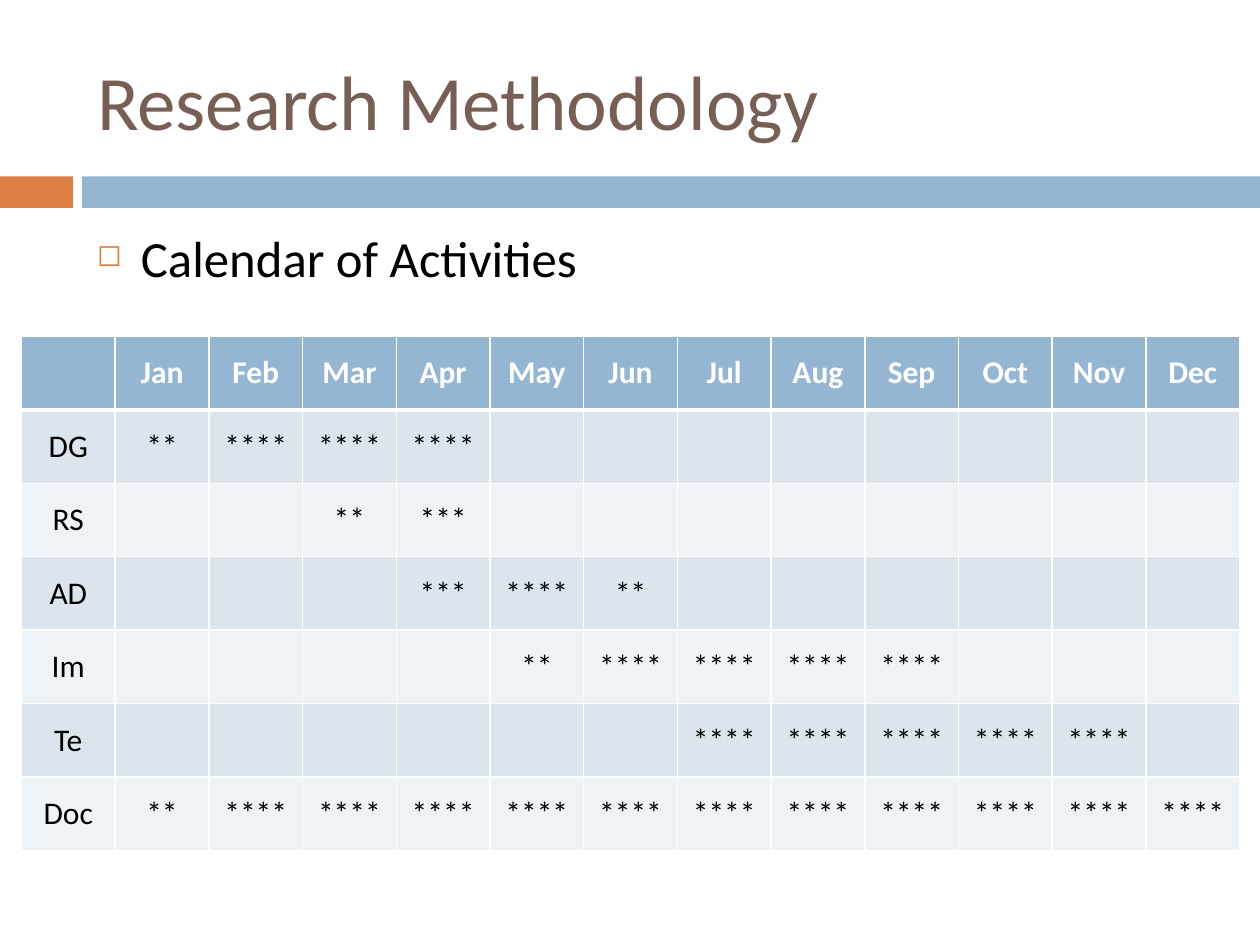
from dataclasses import dataclass

from lxml import etree
from pptx import Presentation
from pptx.dml.color import RGBColor
from pptx.enum.shapes import MSO_SHAPE
from pptx.enum.text import MSO_ANCHOR, PP_ALIGN
from pptx.oxml import parse_xml
from pptx.oxml.ns import nsdecls, qn
from pptx.util import Inches, Pt

RECTANGLE = MSO_SHAPE.RECTANGLE
MIDDLE, TOP = MSO_ANCHOR.MIDDLE, MSO_ANCHOR.TOP
LEFT, CENTER = PP_ALIGN.LEFT, PP_ALIGN.CENTER

ORANGE = RGBColor(0xDD, 0x80, 0x47)
BLUE = RGBColor(0x94, 0xB6, 0xD2)
BROWN = RGBColor(0x77, 0x5F, 0x55)
BLACK = RGBColor(0, 0, 0)
WHITE = RGBColor(0xFF, 0xFF, 0xFF)
BAND_DARK = RGBColor(0xDC, 0xE5, 0xEE)
BAND_LIGHT = RGBColor(0xEE, 0xF3, 0xF7)
FONT = "Calibri"

MONTHS = "Jan Feb Mar Apr May Jun Jul Aug Sep Oct Nov Dec".split()


@dataclass
class Bar:
    left: float
    width: float
    color: RGBColor


@dataclass
class Activity:
    name: str
    first_month: int
    weeks: list[int]

    def cells(self) -> list[str]:
        marks = [""] * (self.first_month - 1) + ["*" * count for count in self.weeks]
        return [self.name] + marks + [""] * (len(MONTHS) - len(marks))


BARS = [Bar(0, 0.58, ORANGE), Bar(0.65, 9.35, BLUE)]
ACTIVITIES = [
    Activity("DG", 1, [2, 4, 4, 4]),
    Activity("RS", 3, [2, 3]),
    Activity("AD", 4, [3, 4, 2]),
    Activity("Im", 5, [2, 4, 4, 4, 4]),
    Activity("Te", 7, [4] * 5),
    Activity("Doc", 1, [2] + [4] * 11),
]


def format_text(text_frame, size: float, color: RGBColor, align=LEFT, bold: bool = False) -> None:
    for paragraph in text_frame.paragraphs:
        paragraph.alignment = align
        font = paragraph.font if not paragraph.runs else paragraph.runs[0].font
        font.name, font.size, font.bold = FONT, Pt(size), bold
        font.color.rgb = color


def draw_bar(slide, bar: Bar) -> None:
    shape = slide.shapes.add_shape(
        RECTANGLE, Inches(bar.left), Inches(1.4), Inches(bar.width), Inches(0.25))
    shape.shadow.inherit = False
    shape.fill.solid()
    shape.fill.fore_color.rgb = bar.color
    shape.line.fill.background()


def add_bullet(paragraph, character: str, color: RGBColor, percent: int) -> None:
    properties = paragraph._p.get_or_add_pPr()
    properties.set("marL", str(Inches(0.35)))
    properties.set("indent", str(-Inches(0.35)))
    bullet_color = etree.SubElement(properties, qn("a:buClr"))
    etree.SubElement(bullet_color, qn("a:srgbClr"), val=str(color))
    etree.SubElement(properties, qn("a:buSzPct"), val=str(percent * 1000))
    etree.SubElement(properties, qn("a:buChar"), char=character)


def draw_borders(cell, top: int, bottom: int) -> None:
    properties = cell._tc.get_or_add_tcPr()
    for side, points in (("L", 1), ("R", 1), ("T", top), ("B", bottom)):
        properties.append(parse_xml(
            f'<a:ln{side} {nsdecls("a")} w="{Pt(points)}"><a:solidFill>'
            f'<a:srgbClr val="{WHITE}"/></a:solidFill></a:ln{side}>'))


def draw_calendar(slide) -> None:
    rows = [[""] + MONTHS] + [activity.cells() for activity in ACTIVITIES]
    table = slide.shapes.add_table(
        len(rows), len(rows[0]), Inches(0.17), Inches(2.67), Inches(9.67), Inches(4.08)).table
    for row_index, row in enumerate(rows):
        header = row_index == 0
        band = BAND_DARK if row_index % 2 else BAND_LIGHT
        for column_index, text in enumerate(row):
            cell = table.cell(row_index, column_index)
            cell.text_frame.text = text
            cell.vertical_anchor = MIDDLE
            format_text(cell.text_frame, 18, WHITE if header else BLACK, CENTER, header)
            draw_borders(cell, 3 if row_index == 1 else 1, 3 if header else 1)
            cell.fill.solid()
            cell.fill.fore_color.rgb = BLUE if header else band


presentation = Presentation()
presentation.slide_width, presentation.slide_height = Inches(10), Inches(7.5)
slide = presentation.slides.add_slide(presentation.slide_layouts[5])

# Divider bars
for bar in BARS:
    draw_bar(slide, bar)

# Title
title = slide.shapes.title
title.left, title.top, title.width, title.height = (
    Inches(0.67), Inches(0.25), Inches(8.92), Inches(1.08))
title.text_frame.text = "Research Methodology"
title.text_frame.vertical_anchor = MIDDLE
format_text(title.text_frame, 44, BROWN)

# Bulleted heading
heading = slide.shapes.add_textbox(Inches(0.67), Inches(1.75), Inches(8.92), Inches(4.92))
heading.text_frame.word_wrap = True
heading.text_frame.vertical_anchor = TOP
heading.text_frame.text = "Calendar of Activities"
format_text(heading.text_frame, 29, BLACK)
heading_paragraph = heading.text_frame.paragraphs[0]
heading_paragraph.space_before = Pt(7)
add_bullet(heading_paragraph, "\u25fb", ORANGE, 60)

# Calendar table
draw_calendar(slide)

presentation.save("out.pptx")
